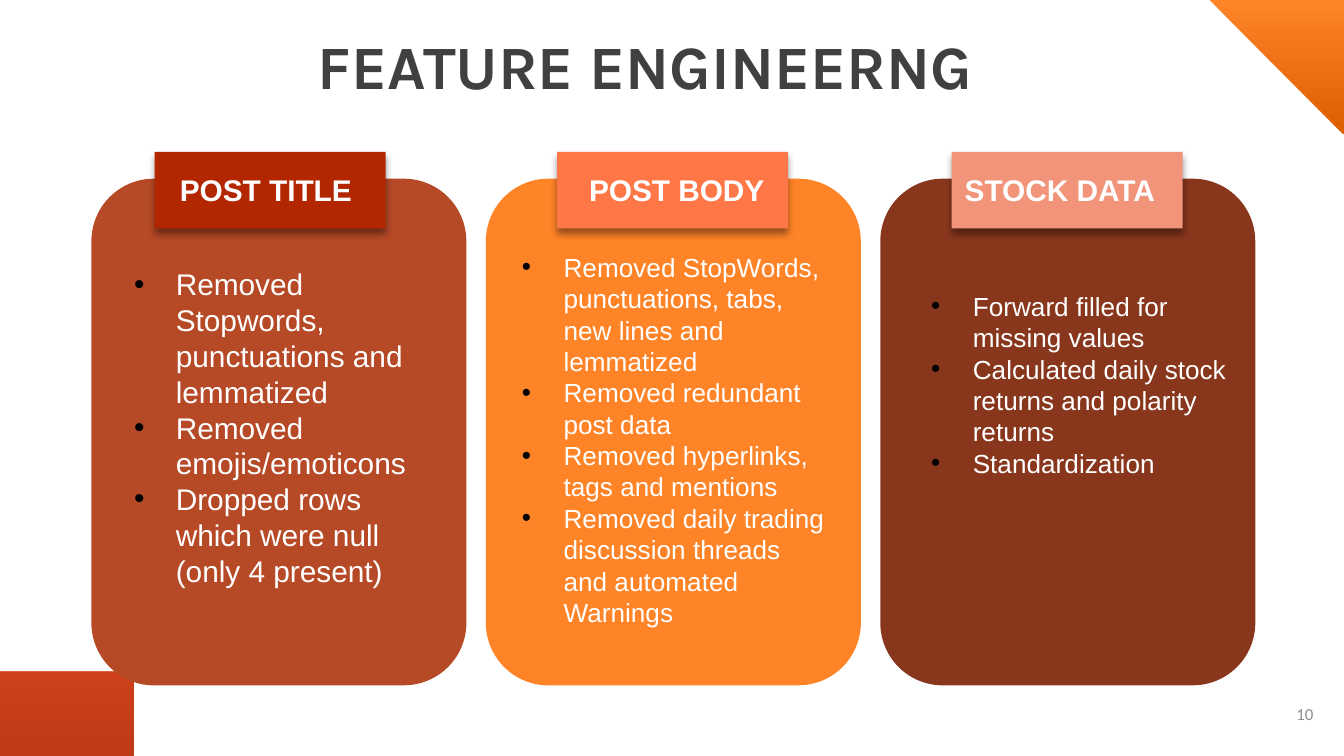
from lxml.etree import SubElement
from pptx import Presentation
from pptx.dml.color import RGBColor
from pptx.enum.shapes import MSO_SHAPE
from pptx.enum.text import MSO_ANCHOR, PP_ALIGN
from pptx.oxml.ns import qn
from pptx.util import Inches, Pt

WIDTH, HEIGHT = 10, 5.625
CARD_LEFT, CARD_TOP, CARD_WIDTH, CARD_HEIGHT = 0.68, 1.33, 2.79, 3.77
CARD_STEP = 2.935
TAB_TOP, TAB_WIDTH, TAB_HEIGHT = 1.13, 1.72, 0.57
BULLET_INDENT = 0.31

# Left offsets are measured from the left edge of the card.
CARDS = [
    dict(title="POST TITLE", card="B64926", tab="B22600",
         tab_offset=0.47, title_offset=0.56, body_offset=0.22, body_top=1.93, size=16,
         items=["Removed Stopwords, punctuations and lemmatized",
                "Removed emojis/emoticons",
                "Dropped rows which were null (only 4 present)"]),
    dict(title="POST BODY", card="FF8427", tab="FF7747",
         tab_offset=0.53, title_offset=0.67, body_offset=0.17, body_top=1.82, size=14,
         items=["Removed StopWords, punctuations, tabs, new lines and lemmatized",
                "Removed redundant post data",
                "Removed hyperlinks, tags and mentions",
                "Removed daily trading discussion threads and automated Warnings"]),
    dict(title="STOCK DATA", card="88371D", tab="F1947A",
         tab_offset=0.53, title_offset=0.53, body_offset=0.28, body_top=2.11, size=14,
         items=["Forward filled for missing values",
                "Calculated daily stock returns and polarity returns",
                "Standardization"]),
]

# Bottom-left corner: start point, then two Bezier segments up its curved edge.
CORNER_START = (1.33, 5.62)
CORNER_CURVES = [((1.02, 5.53), (0.73, 5.36), (0.5, 5.12)),
                 ((0.29, 4.91), (0.13, 4.66), (0.04, 4.39))]
CORNER_TIP, CORNER_BASE = (0.01, 4.3), (0.01, 5.62)


def color(hex_string):
    return RGBColor.from_string(hex_string)


def add_block(slide, kind, left, top, width, height, fill):
    shape = slide.shapes.add_shape(
        kind, Inches(left), Inches(top), Inches(width), Inches(height))
    shape.shadow.inherit = False
    shape.fill.solid()
    shape.fill.fore_color.rgb = color(fill)
    shape.line.fill.background()
    return shape


def add_drop_shadow(shape):
    effects = shape._element.spPr.find(qn("a:effectLst"))
    shadow = SubElement(effects, qn("a:outerShdw"), blurRad=str(Pt(4)),
                        dist=str(Pt(3)), dir="5400000", algn="t", rotWithShape="0")
    shade = SubElement(shadow, qn("a:srgbClr"), val="000000")
    SubElement(shade, qn("a:alpha"), val="40000")


def add_bullet(paragraph):
    properties = paragraph._p.get_or_add_pPr()
    properties.set("marL", str(Inches(BULLET_INDENT)))
    properties.set("indent", str(-Inches(BULLET_INDENT)))
    bullet_color = SubElement(properties, qn("a:buClr"))
    SubElement(bullet_color, qn("a:srgbClr"), val="000000")
    SubElement(properties, qn("a:buFont"), typeface="Arial")
    SubElement(properties, qn("a:buChar"), char="•")


def add_text(slide, lines, left, top, width, height, *, size, font="Arial", fill="FFFFFF",
             bold=False, align=PP_ALIGN.LEFT, anchor=MSO_ANCHOR.TOP, bullets=False):
    box = slide.shapes.add_textbox(
        Inches(left), Inches(top), Inches(width), Inches(height))
    frame = box.text_frame
    frame.word_wrap = True
    frame.vertical_anchor = anchor
    for index, line in enumerate(lines):
        paragraph = frame.add_paragraph() if index else frame.paragraphs[0]
        paragraph.alignment = align
        if bullets:
            add_bullet(paragraph)
        run = paragraph.add_run()
        run.text = line
        run.font.name = font
        run.font.size = Pt(size)
        run.font.bold = bold
        run.font.color.rgb = color(fill)


def curve_points(start, curves, steps=24):
    """Sample points along joined cubic Bezier segments."""
    points = [start]
    for first, second, end in curves:
        origin = points[-1]
        for step in range(1, steps + 1):
            t = step / steps
            weights = ((1 - t) ** 3, 3 * t * (1 - t) ** 2, 3 * t * t * (1 - t), t ** 3)
            points.append(tuple(
                sum(weight * value for weight, value in zip(weights, values))
                for values in zip(origin, first, second, end)))
    return points


def add_corner(slide, top_color, bottom_color, opposite=False):
    """Draw the bottom-left corner, or its half-turn at the top right."""
    points = curve_points(CORNER_START, CORNER_CURVES) + [CORNER_TIP, CORNER_BASE]
    if opposite:
        points = [(WIDTH - x, HEIGHT - y) for x, y in points]
    builder = slide.shapes.build_freeform(*points[0], scale=Inches(1))
    builder.add_line_segments(points[1:], close=True)
    shape = builder.convert_to_shape()
    shape.shadow.inherit = False
    shape.line.fill.background()
    shape.fill.gradient()
    shape.fill.gradient_angle = 270
    for stop, stop_color in zip(shape.fill.gradient_stops, (top_color, bottom_color)):
        stop.color.rgb = color(stop_color)


def add_card(slide, column, content):
    left = CARD_LEFT + column * CARD_STEP
    add_block(slide, MSO_SHAPE.ROUNDED_RECTANGLE, left, CARD_TOP,
              CARD_WIDTH, CARD_HEIGHT, content["card"])
    tab = add_block(slide, MSO_SHAPE.RECTANGLE, left + content["tab_offset"], TAB_TOP,
                    TAB_WIDTH, TAB_HEIGHT, content["tab"])
    add_drop_shadow(tab)
    add_text(slide, [content["title"]], left + content["title_offset"], TAB_TOP + 0.1,
             1.77, 0.37, size=16, bold=True)
    add_text(slide, content["items"], left + content["body_offset"], content["body_top"],
             2.48, 2.5, size=content["size"], bullets=True)


def main():
    presentation = Presentation()
    presentation.slide_width = Inches(WIDTH)
    presentation.slide_height = Inches(HEIGHT)
    slide = presentation.slides.add_slide(presentation.slide_layouts[6])
    add_corner(slide, "E84C22", "B53513")
    add_corner(slide, "FF8427", "DC5F00", opposite=True)
    add_text(slide, ["FEATURE ENGINEERNG"], 1.35, 0.16, 6.9, 0.66, size=33,
             font="Karla", fill="404040", bold=True, align=PP_ALIGN.CENTER)
    for column, content in enumerate(CARDS):
        add_card(slide, column, content)
    add_text(slide, ["10"], 9.27, 5.1, 0.6, 0.43, size=9, font="Calibri",
             fill="8C8C8C", align=PP_ALIGN.RIGHT, anchor=MSO_ANCHOR.MIDDLE)
    presentation.save("out.pptx")


if __name__ == "__main__":
    main()
